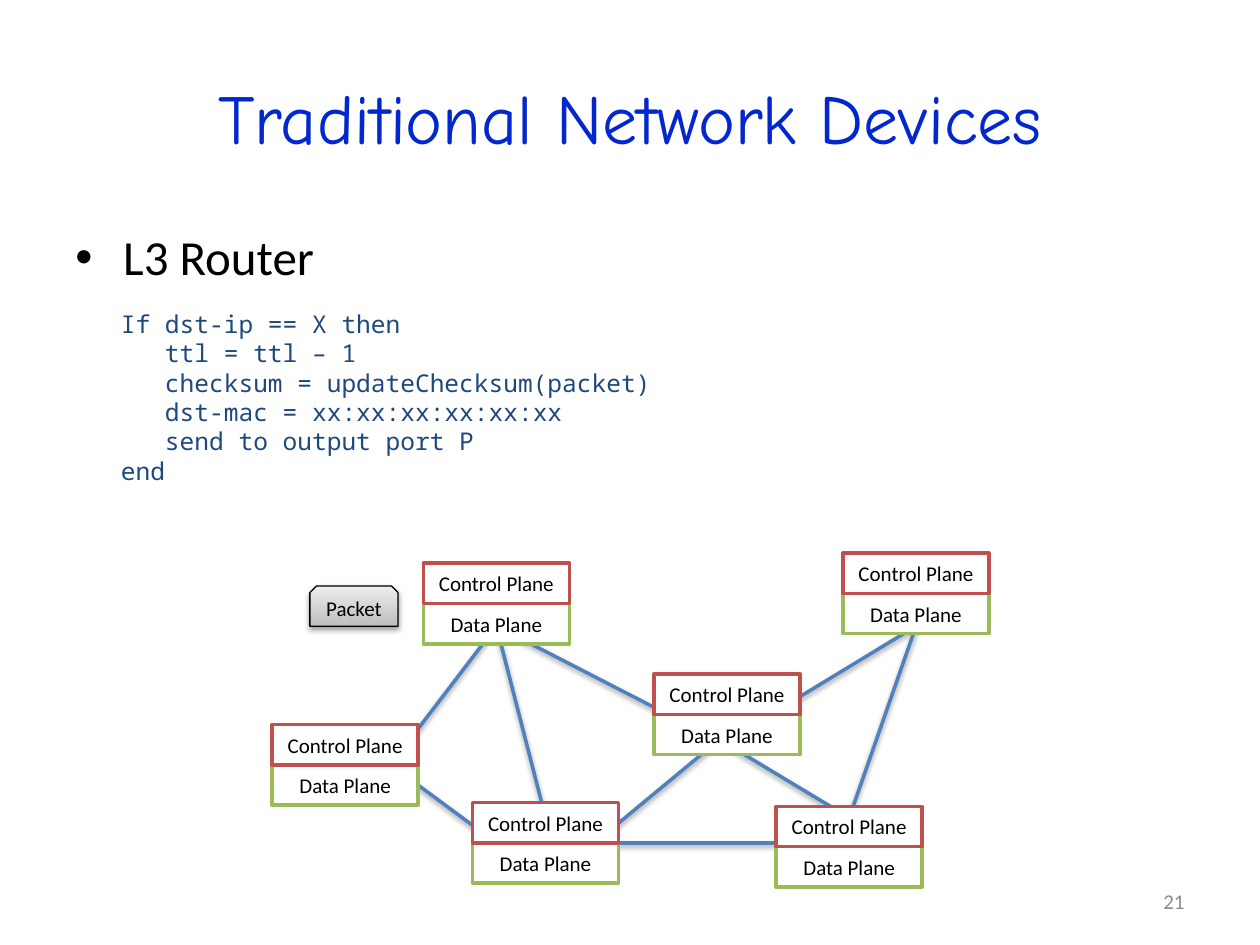
from lxml import etree
from pptx import Presentation
from pptx.dml.color import RGBColor
from pptx.enum.shapes import MSO_CONNECTOR, MSO_SHAPE
from pptx.enum.text import MSO_ANCHOR, PP_ALIGN
from pptx.oxml.ns import qn
from pptx.util import Inches, Pt

RECTANGLE, SNIPPED = MSO_SHAPE.RECTANGLE, MSO_SHAPE.SNIP_2_SAME_RECTANGLE
STRAIGHT = MSO_CONNECTOR.STRAIGHT
TOP, MIDDLE = MSO_ANCHOR.TOP, MSO_ANCHOR.MIDDLE
LEFT, CENTER, RIGHT = PP_ALIGN.LEFT, PP_ALIGN.CENTER, PP_ALIGN.RIGHT

BLACK = RGBColor(0x00, 0x00, 0x00)
WHITE = RGBColor(0xFF, 0xFF, 0xFF)
GRAY = RGBColor(0x8C, 0x8C, 0x8C)
TITLE_BLUE = RGBColor(0x02, 0x27, 0xCE)
CODE_BLUE = RGBColor(0x1F, 0x49, 0x7D)
LINK_BLUE = RGBColor(0x4F, 0x81, 0xBD)
RED = RGBColor(0xC0, 0x50, 0x4D)
GREEN = RGBColor(0x9B, 0xBB, 0x59)
PACKET_GRADIENT = RGBColor(0xBD, 0xBD, 0xBD), RGBColor(0xEE, 0xEE, 0xEE)

TITLE = "Traditional Network Devices"
BULLET = "L3 Router"
CODE = [  # indent level, statement
    (0, "If dst-ip == X then"),
    (1, "ttl = ttl – 1"),
    (1, "checksum = updateChecksum(packet)"),
    (1, "dst-mac = xx:xx:xx:xx:xx:xx"),
    (1, "send to output port P"),
    (0, "end"),
]
CODE_INDENT = 0.35

PLANE_WIDTH, PLANE_HEIGHT = 1.16, 0.32
PLANES = [("Data Plane", GREEN, PLANE_HEIGHT), ("Control Plane", RED, 0)]
# Each router: left and top of its planes, then the centre its links meet around
ROUTERS = {
    "west": ((2.16, 5.75), (2.71, 6.07)),
    "north": ((3.36, 4.47), (3.94, 4.78)),
    "east": ((6.69, 4.39), (7.27, 4.78)),
    "south": ((3.75, 6.37), (4.33, 6.69)),
    "middle": ((5.19, 5.35), (5.71, 5.68)),
    "southeast": ((6.16, 6.4), (6.74, 6.69)),
}
PORTS = {"top": (0, -0.2), "bottom": (0, 0.19), "left": (-0.39, 0), "right": (0.39, 0)}
LINKS = [
    ("west", "right", "north", "bottom"),
    ("south", "top", "north", "bottom"),
    ("middle", "bottom", "southeast", "top"),
    ("middle", "right", "east", "bottom"),
    ("south", "left", "west", "right"),
    ("north", "bottom", "middle", "left"),
    ("south", "right", "middle", "bottom"),
    ("southeast", "top", "east", "bottom"),
    ("south", "right", "southeast", "left"),
]


def write(shape, lines, size=12, font="Calibri", color=BLACK, align=CENTER,
          anchor=MIDDLE, inset=None):
    """Fill the shape with (left margin, text) lines."""
    frame = shape.text_frame
    frame.word_wrap = True
    frame.vertical_anchor = anchor
    if inset is not None:
        frame.margin_left = frame.margin_right = Inches(inset)
        frame.margin_top = frame.margin_bottom = Inches(inset)
    for index, (margin, text) in enumerate(lines):
        para = frame.add_paragraph() if index else frame.paragraphs[0]
        para.alignment = align
        if margin:
            para._p.get_or_add_pPr().set("marL", str(Inches(margin)))
        span = para.add_run()
        span.text = text
        span.font.size = Pt(size)
        span.font.name = font
        span.font.color.rgb = color


def add_text(page, area, text, **style):
    box = page.shapes.add_textbox(*map(Inches, area))
    write(box, [(0, text)], **style)
    return box


def add_box(page, area, line, width, kind=RECTANGLE):
    box = page.shapes.add_shape(kind, *map(Inches, area))
    box.shadow.inherit = False
    box.fill.solid()
    box.fill.fore_color.rgb = WHITE
    box.line.color.rgb = line
    box.line.width = Pt(width)
    return box


def add_shadow(shape):
    properties = shape._element.spPr
    effects = properties.find(qn("a:effectLst"))
    if effects is None:
        effects = etree.SubElement(properties, qn("a:effectLst"))
    shadow = etree.SubElement(effects, qn("a:outerShdw"), blurRad="40000",
                              dist="20000", dir="5400000", rotWithShape="0")
    color = etree.SubElement(shadow, qn("a:srgbClr"), val="000000")
    etree.SubElement(color, qn("a:alpha"), val="38000")


def add_bullet(para, indent):
    properties = para._p.get_or_add_pPr()
    properties.set("marL", str(Inches(indent)))
    properties.set("indent", str(-Inches(indent)))
    etree.SubElement(properties, qn("a:buFont"), typeface="Arial")
    etree.SubElement(properties, qn("a:buChar"), char="•")


def port_position(router, side):
    center = ROUTERS[router][1]
    return [Inches(c + offset) for c, offset in zip(center, PORTS[side])]


def add_link(page, start, start_side, end, end_side):
    link = page.shapes.add_connector(STRAIGHT, *port_position(start, start_side),
                                     *port_position(end, end_side))
    link.line.color.rgb = LINK_BLUE
    link.line.width = Pt(2)
    add_shadow(link)


def add_packet(page):
    packet = add_box(page, (2.46, 4.65, 0.7, 0.32), BLACK, 0.75, kind=SNIPPED)
    packet.fill.gradient()
    packet.fill.gradient_angle = 90
    for stop, color in zip(packet.fill.gradient_stops, PACKET_GRADIENT):
        stop.color.rgb = color
    add_shadow(packet)
    write(packet, [(0, "Packet")], inset=0)


def main():
    deck = Presentation()
    deck.slide_width, deck.slide_height = Inches(10), Inches(7.5)
    page = deck.slides.add_slide(deck.slide_layouts[6])

    add_text(page, (0.5, 0.3, 9, 1.25), TITLE, size=40, font="Comic Neue",
             color=TITLE_BLUE)
    body = add_text(page, (0.5, 1.75, 9, 4.95), BULLET, size=28, align=LEFT,
                    anchor=TOP)
    add_bullet(body.text_frame.paragraphs[0], 0.38)
    code = add_box(page, (0.96, 2.45, 4.23, 1.41), WHITE, 1)
    write(code, [(level * CODE_INDENT, text) for level, text in CODE], size=14,
          font="Noto Sans Mono", color=CODE_BLUE, align=LEFT, anchor=TOP, inset=0)

    for link in LINKS:
        add_link(page, *link)
    for (left, top), _ in ROUTERS.values():
        for label, color, offset in PLANES:
            area = left, top + offset, PLANE_WIDTH, PLANE_HEIGHT
            write(add_box(page, area, color, 2), [(0, label)])
    add_packet(page)
    add_text(page, (7.17, 6.95, 2.33, 0.4), "21", color=GRAY, align=RIGHT)
    deck.save("out.pptx")


if __name__ == "__main__":
    main()
